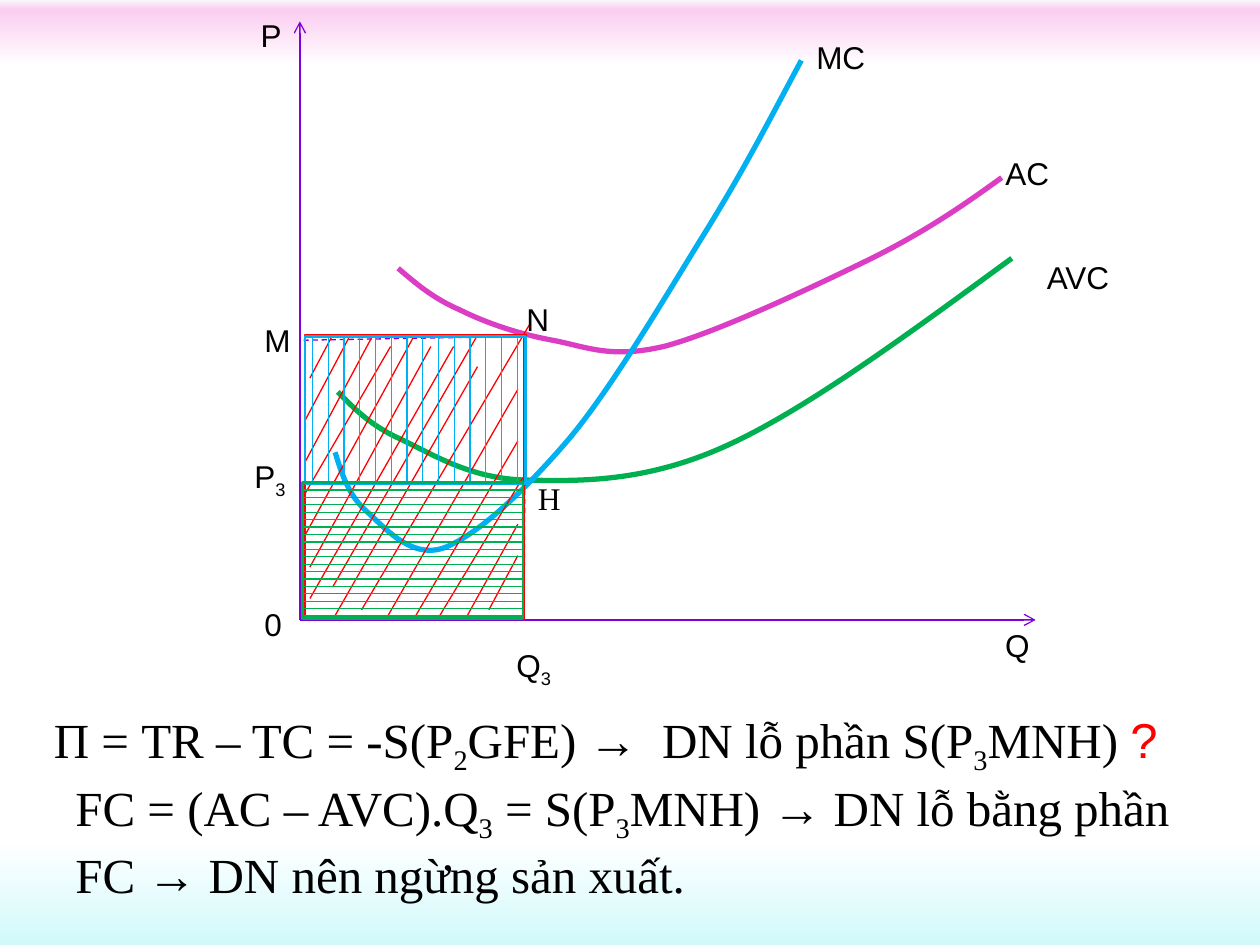
from lxml.etree import SubElement as Sub
from pptx import Presentation
from pptx.dml.color import RGBColor as RGB
from pptx.enum.dml import MSO_LINE as Dash
from pptx.enum.shapes import MSO_CONNECTOR as Conn, MSO_SHAPE as Shape
from pptx.enum.text import MSO_AUTO_SIZE as Fit
from pptx.oxml.ns import qn
from pptx.util import Cm, Pt

BLACK = RGB(0, 0, 0)
RED = RGB(0xFF, 0, 0)
GREEN = RGB(0, 0xB0, 0x50)
BLUE = RGB(0, 0xB0, 0xF0)
PINK = RGB(0xDB, 0x3D, 0xC4)
VIOLET = RGB(0x7E, 0, 0xDD)
SANS, SERIF = "Arial", "Times New Roman"
UNIT = 2.54  # one grid unit of the drawing, in cm

# Run styles
BASE = {}
LOW = {"baseline": "-25000"}
WIDE = {"spc": "700"}

# Content: positions in grid units
STOPS = [(0, "FAF6FC"), (1, "FBCDF1"), (7, "FFFFFF"), (89, "FFFFFF"), (100, "D1F9FB")]

AXES = [((2.38, 4.92), (2.38, 0.17)), ((2.38, 4.92), (8.22, 4.92))]

# Each curve: colour, then a start point and three points per Bézier piece
CURVES = [
    (GREEN, [(2.68, 3.11), (2.81, 3.24), (2.94, 3.38), (3.19, 3.49),
             (3.44, 3.61), (3.74, 3.8), (4.17, 3.81),
             (4.6, 3.82), (5.12, 3.83), (5.76, 3.54),
             (6.4, 3.25), (7.21, 2.65), (8.03, 2.05)]),
    (PINK, [(3.16, 2.13), (3.3, 2.25), (3.44, 2.37), (3.65, 2.46),
            (3.85, 2.56), (4.11, 2.65), (4.38, 2.7),
            (4.65, 2.75), (4.84, 2.85), (5.27, 2.75),
            (5.69, 2.64), (6.47, 2.27), (6.92, 2.05),
            (7.36, 1.83), (7.66, 1.62), (7.95, 1.41)]),
    (BLUE, [(2.66, 3.59), (2.71, 3.75), (2.76, 3.92), (2.9, 4.05),
            (3.04, 4.17), (3.25, 4.44), (3.52, 4.35),
            (3.79, 4.25), (4.17, 3.89), (4.52, 3.48),
            (4.87, 3.06), (5.29, 2.34), (5.6, 1.84),
            (5.91, 1.34), (6.13, 0.91), (6.36, 0.48)]),
]

# Labels: left, top, width, text, subscript, font
LABELS = [
    (8.21, 2, 0.7, "AVC", "", SANS), (7.88, 1.17, 0.55, "AC", "", SANS),
    (6.38, 0.25, 0.59, "MC", "", SANS), (7.88, 4.92, 0.4, "Q", "", SANS),
    (1.97, 0.08, 0.37, "P", "", SANS), (2, 4.75, 0.34, "0", "", SANS),
    (1.92, 3.58, 0.46, "P", "3", SANS), (4, 5.08, 0.49, "Q", "3", SANS),
    (4.08, 2.33, 0.38, "N", "", SANS), (2, 2.5, 0.41, "M", "", SANS),
    (4.17, 3.75, 0.38, "H", "", SERIF),
]

GUIDES = [((4.17, 2.67), (4.16, 4.92)), ((4.17, 2.67), (2.41, 2.7)),
          ((4.17, 3.84), (2.42, 3.83))]

# Slanted hatching of the total cost area
SLANTS = [
    ((4.11, 3.09), (3.06, 4.92)), ((4.2, 2.58), (2.87, 4.84)),
    ((3.6, 2.75), (2.46, 4.75)), ((4.11, 3.5), (3.28, 4.92)),
    ((4.15, 3.79), (3.47, 4.92)), ((4.11, 4.16), (3.69, 4.92)),
    ((4.11, 4.41), (3.88, 4.84)), ((3.29, 2.66), (2.42, 4.25)),
    ((2.64, 2.66), (2.46, 3)), ((2.78, 2.66), (2.42, 3.34)),
    ((2.96, 2.66), (2.42, 3.67)), ((3.1, 2.75), (2.42, 3.92)),
    ((3.42, 2.75), (2.46, 4.5)), ((3.79, 2.66), (2.64, 4.66)),
    ((3.79, 2.91), (2.64, 4.92)),
]

# Formulas: box, then runs of text, style, font, colour
NOTES = [
    ((0.33, 5.58, 9.5, 0.57), [
        ("Π = TR – TC = -S(P", BASE, SERIF, BLACK), ("2", LOW, SERIF, BLACK),
        ("GFE) →", BASE, SERIF, BLACK), (" ", WIDE, SERIF, BLACK),
        ("DN lỗ phần S(P", BASE, SERIF, BLACK), ("3", LOW, SERIF, BLACK),
        ("MNH) ", BASE, SERIF, BLACK), ("?", BASE, SANS, RED)]),
    ((0.5, 6.12, 9.08, 1.04), [
        ("FC = (AC – AVC).Q", BASE, SERIF, BLACK), ("3", LOW, SERIF, BLACK),
        (" = S(P", BASE, SERIF, BLACK), ("3", LOW, SERIF, BLACK),
        ("MNH) → DN lỗ bằng phần FC → DN nên ngừng sản xuất.", BASE, SERIF, BLACK)]),
]


def place(*vals):
    return [Cm(v * UNIT) for v in vals]


def add_line(shapes, start, end, color, dash=False, arrow=False):
    line = shapes.add_connector(Conn.STRAIGHT, *place(*start, *end))
    line.line.color.rgb = color
    line.line.width = Pt(0.75)
    if dash:
        line.line.dash_style = Dash.DASH
    props = line._element.spPr
    if arrow:
        Sub(props.find(qn("a:ln")), qn("a:tailEnd"), type="arrow")
    Sub(props, qn("a:effectLst"))


def outline(shape, color, width):
    shape.shadow.inherit = False
    shape.fill.background()
    shape.line.color.rgb = color
    shape.line.width = Pt(width)


def add_rect(shapes, box, color):
    outline(shapes.add_shape(Shape.RECTANGLE, *place(*box)), color, 1.5)


def add_curve(shapes, knots, color):
    spots = [place(*k) for k in knots]
    pen = shapes.build_freeform(*spots[0])
    pen.add_line_segments(spots[1:], close=False)
    curve = pen.convert_to_shape()
    # Join each three straight steps into one Bézier piece
    route = curve._element.find(".//" + qn("a:path"))
    for i, step in enumerate(route.findall(qn("a:lnTo"))):
        if i % 3 == 0:
            piece = Sub(route, qn("a:cubicBezTo"))
        piece.append(step[0])
        route.remove(step)
    outline(curve, color, 3)


def add_text(shapes, box, runs, size, wrap):
    frame = shapes.add_textbox(*place(*box)).text_frame
    frame.word_wrap = wrap
    frame.auto_size = Fit.SHAPE_TO_FIT_TEXT
    for text, style, face, color in runs:
        run = frame.paragraphs[0].add_run()
        run.text = text
        run.font.size = Pt(size)
        run.font.name = face
        run.font.color.rgb = color
        for name, val in style.items():
            run._r.get_or_add_rPr().set(name, val)


def main():
    deck = Presentation()
    deck.slide_width, deck.slide_height = place(10, 7.5)
    slide = deck.slides.add_slide(deck.slide_layouts[6])
    shapes = slide.shapes

    # Background gradient, top to bottom
    fill = slide.background.fill
    fill.gradient()
    fill.gradient_angle = 270
    stops = slide.element.find(".//" + qn("a:gsLst"))
    stops.clear()
    for pos, tint in STOPS:
        stop = Sub(stops, qn("a:gs"), pos=str(pos * 1000))
        Sub(stop, qn("a:srgbClr"), val=tint)

    # Axes and cost curves
    graph = shapes.add_group_shape().shapes
    for start, end in AXES:
        add_line(graph, start, end, VIOLET, arrow=True)
    for color, knots in CURVES:
        add_curve(graph, knots, color)

    # Dashed guides
    for start, end in GUIDES:
        add_line(shapes, start, end, VIOLET, dash=True)

    # Total cost: red slanted hatching
    cost = shapes.add_group_shape().shapes
    add_line(cost, (4.18, 2.66), (2.42, 2.66), RED, dash=True)
    add_rect(cost, (2.42, 2.66, 1.74, 2.25), RED)
    for start, end in SLANTS:
        add_line(cost, start, end, RED)

    # Loss: blue upright hatching
    loss = shapes.add_group_shape().shapes
    add_rect(loss, (2.42, 2.67, 1.75, 1.17), BLUE)
    for i in range(14):
        x = 2.48 + i * 0.125
        add_line(loss, (x, 2.67), (x, 3.83), BLUE)

    # Revenue: green level hatching
    sales = shapes.add_group_shape().shapes
    add_rect(sales, (2.4, 3.83, 1.75, 1.08), GREEN)
    for i in range(1, 19):
        y = 3.83 + i * 1.06 / 18
        add_line(sales, (2.4, y), (4.15, y), GREEN)

    # Labels and formulas
    for x, y, wide, text, sub, face in LABELS:
        runs = [(text, BASE, face, BLACK)]
        if sub:
            runs.append((sub, LOW, face, BLACK))
        add_text(shapes, (x, y, wide, 0.4), runs, 18, False)
    for box, runs in NOTES:
        add_text(shapes, box, runs, 28, True)

    deck.save("out.pptx")


if __name__ == "__main__":
    main()
